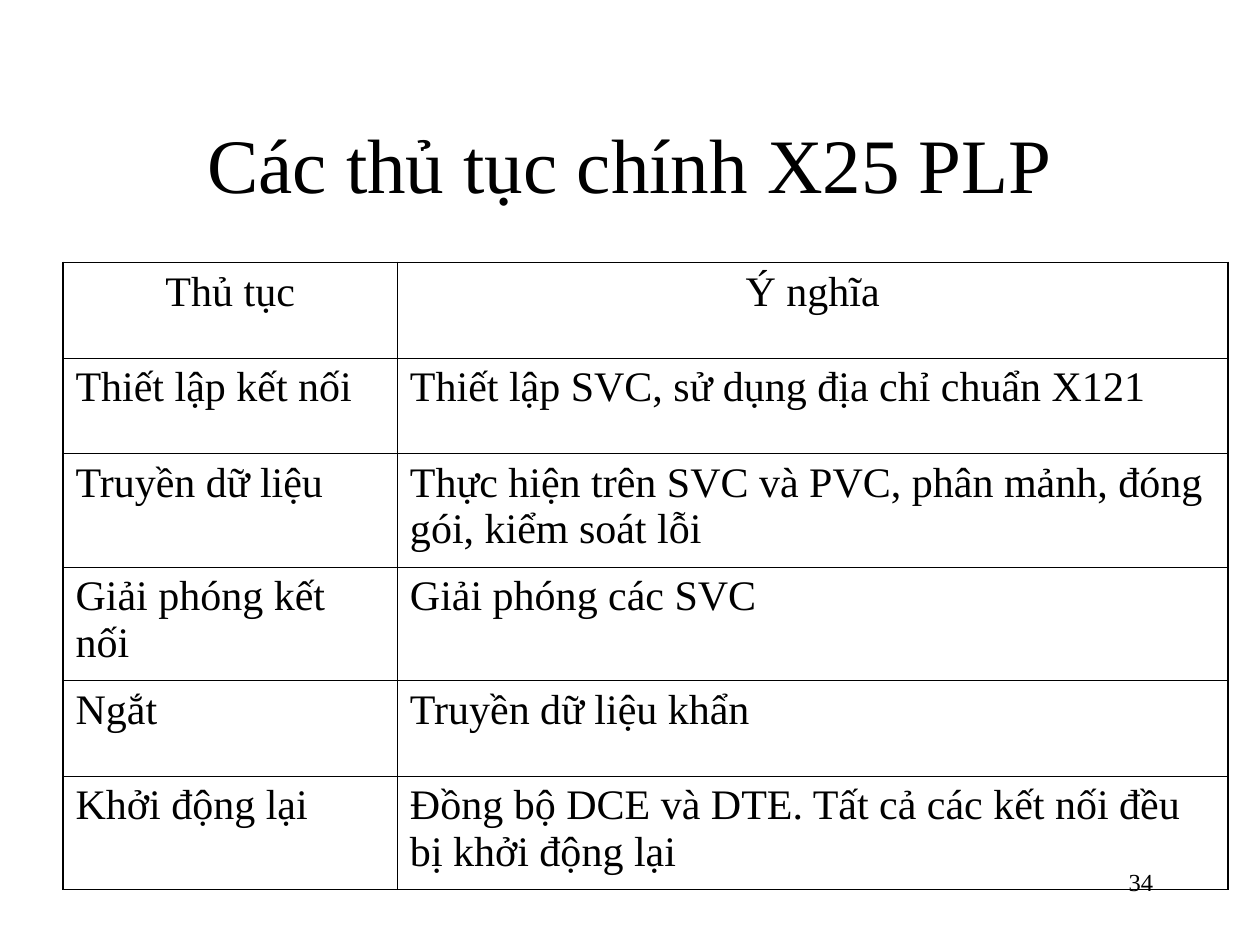
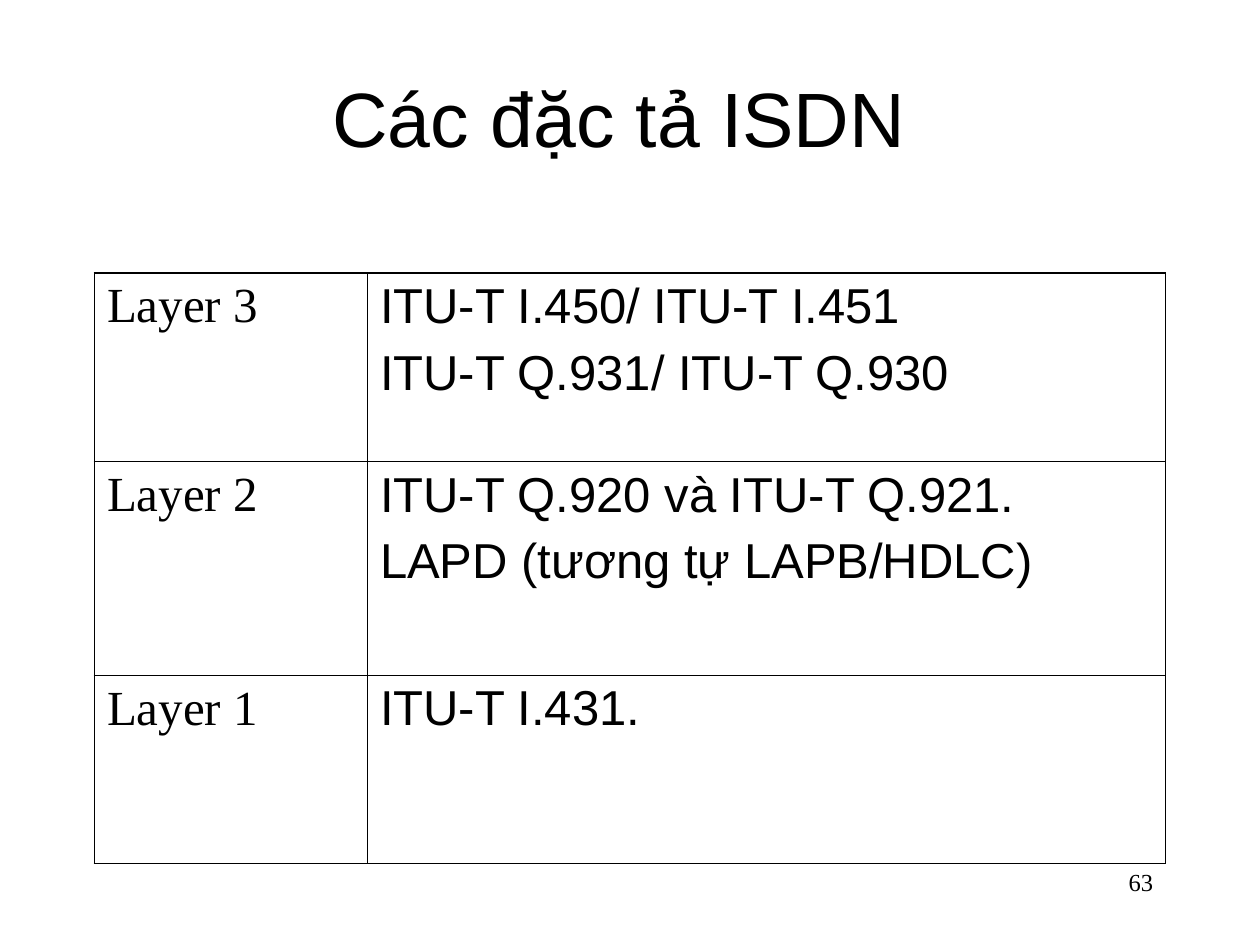
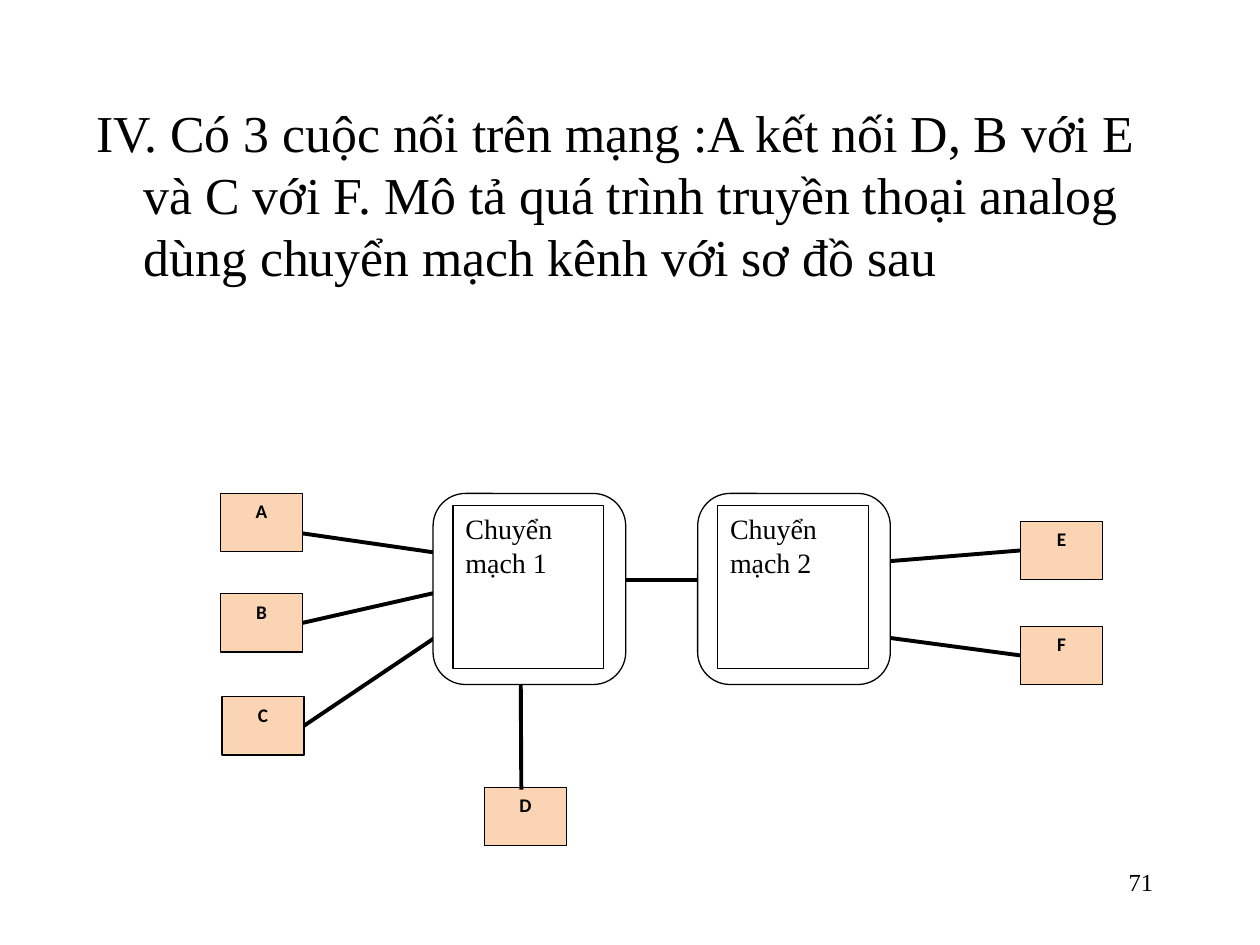
from dataclasses import dataclass
from typing import NamedTuple

from lxml import etree
from pptx import Presentation
from pptx.dml.color import RGBColor
from pptx.enum.shapes import MSO_CONNECTOR, MSO_SHAPE
from pptx.enum.text import MSO_ANCHOR, PP_ALIGN
from pptx.oxml.ns import qn
from pptx.util import Emu, Inches, Pt

LEFT, CENTER, RIGHT = PP_ALIGN.LEFT, PP_ALIGN.CENTER, PP_ALIGN.RIGHT
TOP, MIDDLE = MSO_ANCHOR.TOP, MSO_ANCHOR.MIDDLE
RECT, ROUNDED = MSO_SHAPE.RECTANGLE, MSO_SHAPE.ROUNDED_RECTANGLE
STRAIGHT = MSO_CONNECTOR.STRAIGHT
LEFT_SIDE, RIGHT_SIDE = 1, 3

# Slide grid: 120 columns by 90 rows of square units
WIDTH, HEIGHT = Inches(10), Inches(7.5)
UNIT = WIDTH / 120


@dataclass(frozen=True)
class Theme:
    ink: str = "000000"
    paper: str = "FFFFFF"
    terminal: str = "FBD4B4"
    serif: str = "Times New Roman"
    sans: str = "Arial"
    label: str = "Calibri"
    title_size: float = 44
    question_size: float = 29.6
    layer_size: float = 28
    procedure_size: float = 24
    switch_size: float = 16
    number_size: float = 14
    terminal_size: float = 11
    outer_border: float = 1.08
    inner_border: float = 0.45
    outline: float = 0.75
    link: float = 2.25


THEME = Theme()


class Box(NamedTuple):
    col: float
    row: float
    cols: float
    rows: float


class TextStyle(NamedTuple):
    size: float
    font: str = THEME.serif
    align: PP_ALIGN = LEFT
    bold: bool = False
    before: float = 0
    after: float = 0


class TableSpec(NamedTuple):
    col: float
    row: float
    widths: list[float]
    heights: list[float]
    column_styles: list[TextStyle]
    cells: list[tuple[str, str]]
    header: bool = False


class Terminal(NamedTuple):
    name: str
    col: float
    row: float


class Link(NamedTuple):
    """Line from a grid point to a grid point, or to the side of a terminal."""
    start: tuple[float, float]
    end: tuple[float, float]
    terminal: str = ""
    side: int = LEFT_SIDE


TITLE_BOX = Box(9, 8, 102, 15)
NUMBER_BOX = Box(86, 82, 25, 6)
QUESTION_BOX = Box(8, 9, 102, 26)


def grid(value: float) -> Emu:
    return Emu(round(value * UNIT))


def place(box: Box) -> list[Emu]:
    return [grid(value) for value in box]


def color(value: str) -> RGBColor:
    return RGBColor.from_string(value)


def write(frame, text: str, style: TextStyle) -> None:
    """Fill a text frame, one paragraph for each line of the text."""
    for index, line in enumerate(text.split("\n")):
        paragraph = frame.add_paragraph() if index else frame.paragraphs[0]
        paragraph.text = line
        paragraph.alignment = style.align
        paragraph.space_before = Pt(style.before if index else 0)
        paragraph.space_after = Pt(style.after)
        font = paragraph.font
        font.size, font.name, font.bold = Pt(style.size), style.font, style.bold
        font.color.rgb = color(THEME.ink)


def add_text(slide, box: Box, text: str, style: TextStyle, anchor=TOP):
    frame = slide.shapes.add_textbox(*place(box)).text_frame
    frame.word_wrap = True
    frame.vertical_anchor = anchor
    write(frame, text, style)
    return frame


def add_title(slide, text: str, font: str) -> None:
    add_text(slide, TITLE_BOX, text, TextStyle(THEME.title_size, font, CENTER), MIDDLE)


def add_slide(deck):
    slide = deck.slides.add_slide(deck.slide_layouts[6])
    slide.background.fill.solid()
    slide.background.fill.fore_color.rgb = color(THEME.paper)
    return slide


def add_number(slide, number: int) -> None:
    add_text(slide, NUMBER_BOX, str(number), TextStyle(THEME.number_size, align=RIGHT))


def add_border(cell, side: str, points: float) -> None:
    line = etree.SubElement(cell._tc.get_or_add_tcPr(), qn(f"a:ln{side}"), w=str(Pt(points)))
    fill = etree.SubElement(line, qn("a:solidFill"))
    etree.SubElement(fill, qn("a:srgbClr"), val=THEME.ink)


def add_table(slide, spec: TableSpec) -> None:
    box = Box(spec.col, spec.row, sum(spec.widths), sum(spec.heights))
    last_row, last_col = len(spec.heights) - 1, len(spec.widths) - 1
    table = slide.shapes.add_table(last_row + 1, last_col + 1, *place(box)).table
    table.first_row = table.horz_banding = False
    for column, width in zip(table.columns, spec.widths):
        column.width = grid(width)
    for row, height in zip(table.rows, spec.heights):
        row.height = grid(height)
    for r, texts in enumerate(spec.cells):
        for c, (text, style) in enumerate(zip(texts, spec.column_styles)):
            cell = table.cell(r, c)
            edges = {"L": c == 0, "R": c == last_col, "T": r == 0, "B": r == last_row}
            for side, outer in edges.items():
                add_border(cell, side, THEME.outer_border if outer else THEME.inner_border)
            cell.fill.background()
            if spec.header and r == 0:
                style = style._replace(align=CENTER)
            write(cell.text_frame, text, style)


def add_block(slide, kind, box: Box, fill: str, text: str = "", style: TextStyle | None = None):
    block = slide.shapes.add_shape(kind, *place(box))
    block.shadow.inherit = False
    block.fill.solid()
    block.fill.fore_color.rgb = color(fill)
    block.line.color.rgb = color(THEME.ink)
    block.line.width = Pt(THEME.outline)
    if style:
        block.text_frame.word_wrap = True
        block.text_frame.vertical_anchor = TOP
        write(block.text_frame, text, style)
    return block


def add_link(slide, link: Link, terminals: dict) -> None:
    points = [grid(value) for value in (*link.start, *link.end)]
    line = slide.shapes.add_connector(STRAIGHT, *points)
    if link.terminal:
        line.end_connect(terminals[link.terminal], link.side)
    line.line.color.rgb = color(THEME.ink)
    line.line.width = Pt(THEME.link)
    etree.SubElement(line._element.spPr, qn("a:effectLst"))


# Slide content
PROCEDURES = TableSpec(
    6, 25, [31.85, 79.1], [9.1, 9.1, 10.8, 10.8, 9.1, 10.8],
    [TextStyle(THEME.procedure_size)] * 2,
    [
        ("Thủ tục", "Ý nghĩa"),
        ("Thiết lập kết nối", "Thiết lập SVC, sử dụng địa chỉ chuẩn X121"),
        ("Truyền dữ liệu", "Thực hiện trên SVC và PVC, phân mảnh, đóng gói, kiểm soát lỗi"),
        ("Giải phóng kết nối", "Giải phóng các SVC"),
        ("Ngắt", "Truyền dữ liệu khẩn"),
        ("Khởi động lại", "Đồng bộ DCE và DTE. Tất cả các kết nối đều bị khởi động lại"),
    ],
    header=True,
)

ISDN_LAYERS = TableSpec(
    9, 26, [26, 76], [17.95, 20.35, 17.95],
    [TextStyle(THEME.layer_size), TextStyle(THEME.layer_size, THEME.sans, before=7)],
    [
        ("Layer 3", "ITU-T I.450/ ITU-T I.451\nITU-T Q.931/ ITU-T Q.930"),
        ("Layer 2", "ITU-T Q.920 và ITU-T Q.921.\nLAPD (tương tự LAPB/HDLC)"),
        ("Layer 1", "ITU-T I.431."),
    ],
)

QUESTION = ("IV. Có 3 cuộc nối trên mạng :A kết nối D, B với E và C với F. "
            "Mô tả quá trình truyền thoại analog dùng chuyển mạch kênh với sơ đồ sau")

TERMINALS = [
    Terminal("A", 21, 47), Terminal("B", 21, 56.55), Terminal("C", 21.15, 66.35),
    Terminal("D", 46.15, 75), Terminal("E", 97.2, 49.65), Terminal("F", 97.2, 59.65),
]
LINKS = [
    Link((41.25, 52.6), (28.8, 50.8)),
    Link((41.25, 56.5), (28.8, 59.33), "B", RIGHT_SIDE),
    Link((41.4, 60.75), (28.95, 69.13), "C", RIGHT_SIDE),
    Link((57.5, 55.2), (68.2, 55.2)),
    Link((49.6, 65.2), (49.65, 75.2)),
    Link((84.7, 53.45), (97.2, 52.43), "E"),
    Link((84.7, 60.75), (97.2, 62.43), "F"),
]
SWITCHES = {"Chuyển mạch 1": 41.25, "Chuyển mạch 2": 66.45}


def build_procedures(deck) -> None:
    slide = add_slide(deck)
    add_title(slide, "Các thủ tục chính X25 PLP", THEME.serif)
    add_table(slide, PROCEDURES)
    add_number(slide, 34)


def build_isdn(deck) -> None:
    slide = add_slide(deck)
    add_title(slide, "Các đặc tả ISDN \v", THEME.sans)
    add_table(slide, ISDN_LAYERS)
    add_number(slide, 63)


def build_question(deck) -> None:
    slide = add_slide(deck)
    question = add_text(slide, QUESTION_BOX, QUESTION, TextStyle(THEME.question_size))
    hanging = grid(4.5)
    properties = question.paragraphs[0]._p.get_or_add_pPr()
    properties.set("marL", str(hanging))
    properties.set("indent", str(-hanging))

    # Network diagram: terminals, links, then switches over the link ends
    name_style = TextStyle(THEME.terminal_size, THEME.label, CENTER, bold=True, after=10)
    terminals = {
        t.name: add_block(slide, RECT, Box(t.col, t.row, 7.8, 5.55),
                          THEME.terminal, t.name, name_style)
        for t in TERMINALS
    }
    for link in LINKS:
        add_link(slide, link, terminals)
    switch_style = TextStyle(THEME.switch_size, after=10)
    for name, col in SWITCHES.items():
        housing = add_block(slide, ROUNDED, Box(col, 47, 18.35, 18.2), THEME.paper)
        housing.adjustments[0] = 0.17
        add_block(slide, RECT, Box(col + 1.9, 48.15, 14.35, 15.5),
                  THEME.paper, name, switch_style)
    add_number(slide, 71)


def main() -> None:
    deck = Presentation()
    deck.slide_width, deck.slide_height = WIDTH, HEIGHT
    build_procedures(deck)
    build_isdn(deck)
    build_question(deck)
    deck.save("out.pptx")


if __name__ == "__main__":
    main()
